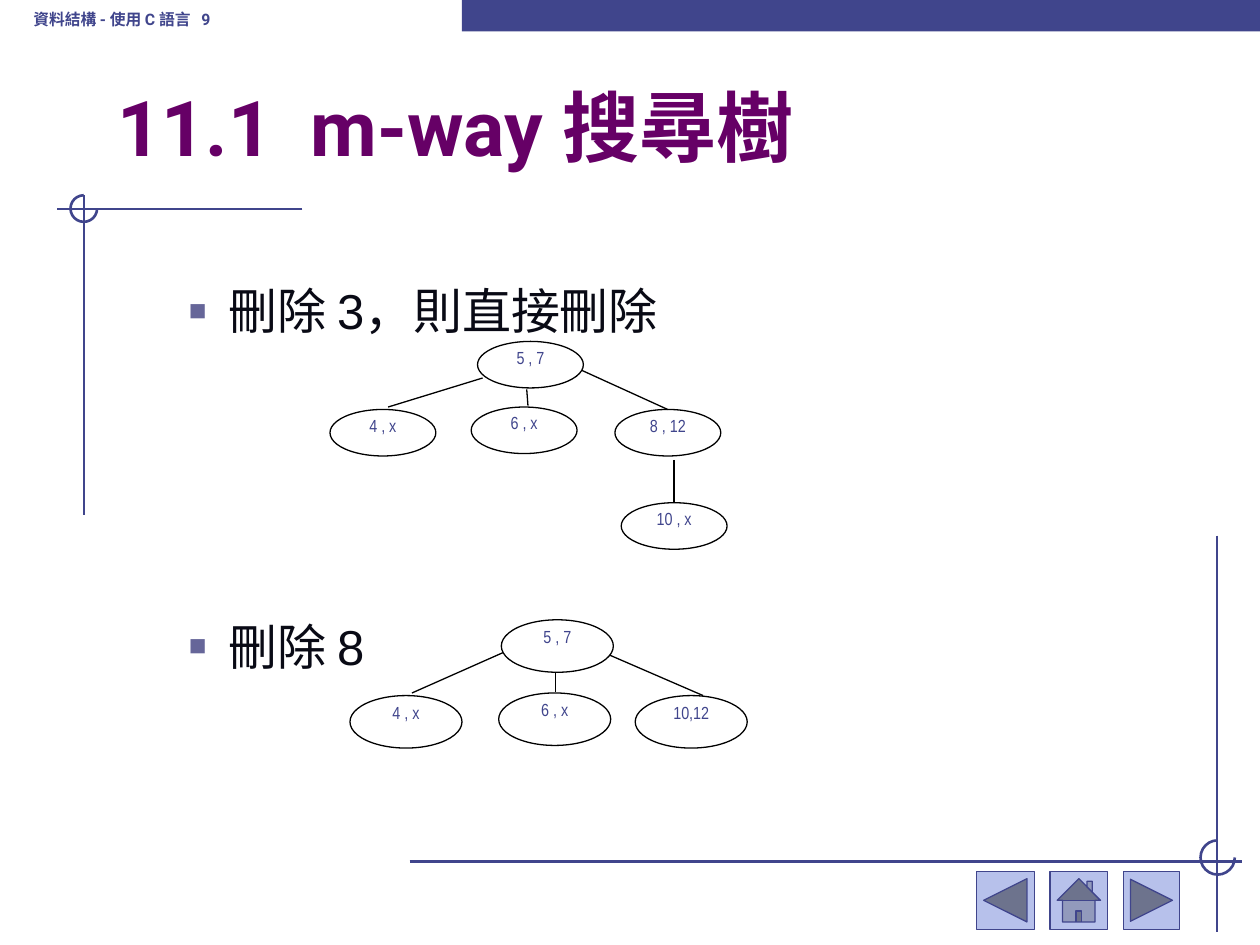
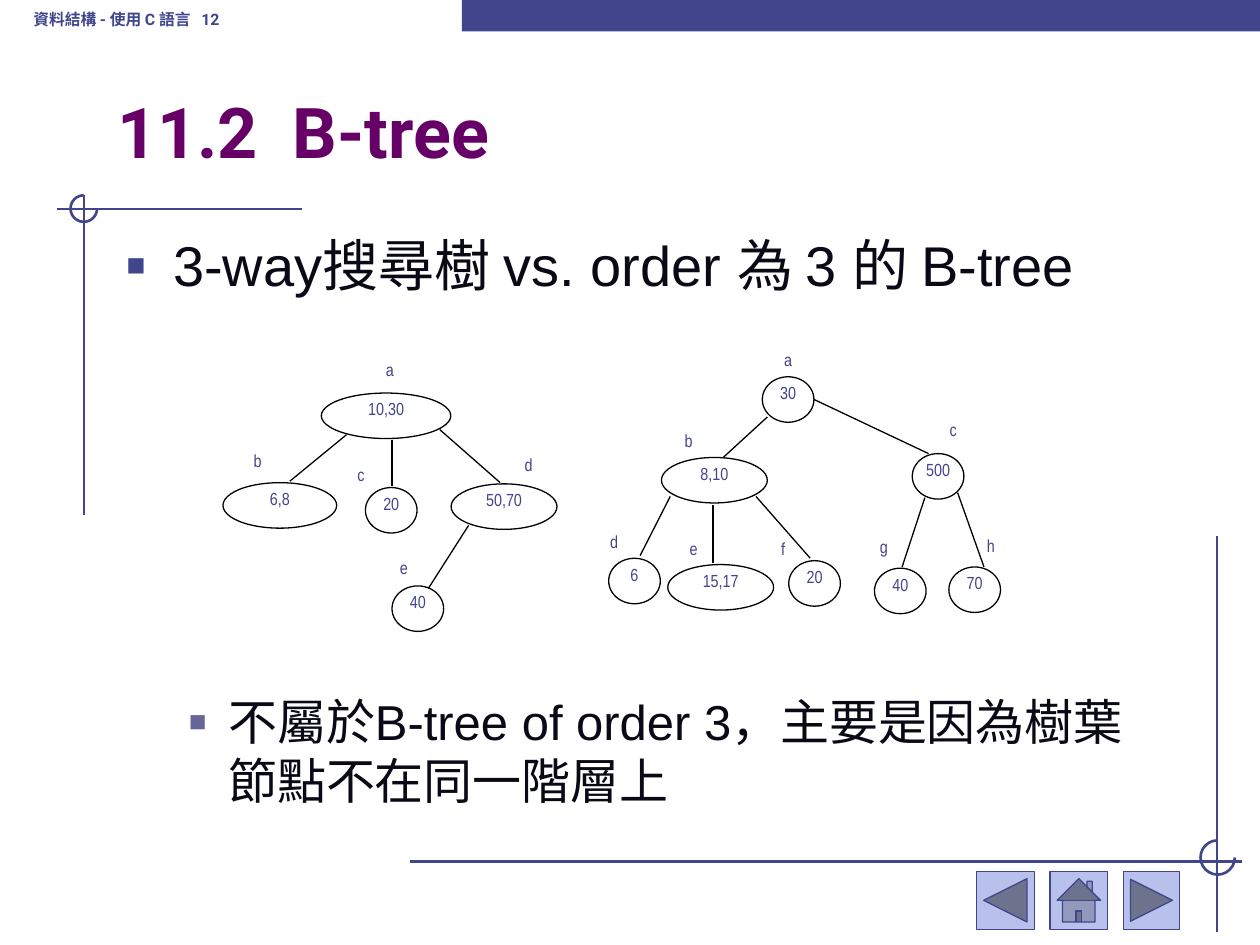
from lxml import etree
from pptx import Presentation
from pptx.dml.color import RGBColor
from pptx.enum import shapes, text
from pptx.oxml import ns
from pptx.util import Pt

HUES = {"navy": "40458C", "plum": "660066", "ink": "090A15", "pale": "B7C1EB",
        "gray": "666699", "black": "000000"}
FORM = shapes.MSO_SHAPE
SIDE = text.MSO_ANCHOR
HEAD = {"size": 32, "indent": 27, "hang": 27, "mark": "▪", "hue": "navy", "scale": 110}
ITEM = {"size": 28, "indent": 58.5, "hang": 22.5, "mark": "■", "hue": "gray", "scale": 60}


class Deck:
    def __init__(self):
        self.file = Presentation()
        self.file.slide_width, self.file.slide_height = Pt(720), Pt(540)
        self.page = None

    def color(self, name):
        return RGBColor.from_string(HUES[name])

    def slide(self, number, title, size):
        self.page = self.file.slides.add_slide(self.file.slide_layouts[6]).shapes
        self.line(172.8, 119.5, 32.4, 119.5, "navy", 1.5)
        self.line(48, 111.6, 48, 294.5, "navy", 1.5)
        self.arc(40.3, 111.6, 15.2)
        self.shape(FORM.RECTANGLE, 264, 0, 456, 18, "navy")
        for form, left, wide in ((FORM.ACTION_BUTTON_HOME, 600, 33),
                                 (FORM.ACTION_BUTTON_FORWARD_OR_NEXT, 642, 32),
                                 (FORM.ACTION_BUTTON_BACK_OR_PREVIOUS, 558, 33)):
            self.shape(form, left, 498, wide, 33, "pale", "navy")
        self.line(234, 492.2, 709.9, 492.2, "navy", 1.5)
        self.line(695.5, 306, 695.5, 532.8, "navy", 1.5)
        self.arc(686, 480.2, 19.6)
        frame = self.box(12, -12, 222, 36, SIDE.BOTTOM)
        frame.margin_bottom = Pt(7.5)
        self.run(frame.paragraphs[0], f"資料結構 - 使用 C 語言   {number}", 9, "Roboto", "navy", True)
        frame = self.box(60, 42, 612, 60, SIDE.BOTTOM)
        self.run(frame.paragraphs[0], title, size, "Roboto", "plum", True)

    def shape(self, form, left, top, wide, high, fill=None, edge=None, weight=0.75):
        item = self.page.add_shape(form, Pt(left), Pt(top), Pt(wide), Pt(high))
        item.shadow.inherit = False
        if fill:
            item.fill.solid()
            item.fill.fore_color.rgb = self.color(fill)
        else:
            item.fill.background()
        if edge:
            item.line.color.rgb = self.color(edge)
            item.line.width = Pt(weight)
        else:
            item.line.fill.background()
        return item

    def arc(self, left, top, size):
        item = self.shape(FORM.ARC, left, top, size, size, None, "navy", 1.5)
        item.adjustments[0] = 0
        item.adjustments[1] = 162

    def line(self, left, top, right, low, hue="black", weight=0.75):
        item = self.page.add_connector(shapes.MSO_CONNECTOR.STRAIGHT,
                                       Pt(left), Pt(top), Pt(right), Pt(low))
        item.line.color.rgb = self.color(hue)
        item.line.width = Pt(weight)
        etree.SubElement(item._element.spPr, ns.qn("a:effectLst"))

    def box(self, left, top, wide, high, anchor=SIDE.TOP):
        frame = self.page.add_textbox(Pt(left), Pt(top), Pt(wide), Pt(high)).text_frame
        frame.word_wrap = True
        frame.vertical_anchor = anchor
        return frame

    def run(self, para, words, size, font, hue, bold=False):
        run = para.add_run()
        run.text = words
        run.font.size, run.font.name, run.font.bold = Pt(size), font, bold
        run.font.color.rgb = self.color(hue)

    def body(self, top, gap, *items):
        frame = self.box(64.8, top, 605.5, 293)
        for rank, (style, words) in enumerate(items):
            para = frame.add_paragraph() if rank else frame.paragraphs[0]
            if rank:
                para.space_before = Pt(gap)
            self.bullet(para, style)
            self.run(para, words, style["size"], "Arial", "ink")

    def bullet(self, para, style):
        props = para._p.get_or_add_pPr()
        props.set("marL", str(Pt(style["indent"])))
        props.set("indent", str(-Pt(style["hang"])))
        hue = etree.SubElement(props, ns.qn("a:buClr"))
        etree.SubElement(hue, ns.qn("a:srgbClr"), val=HUES[style["hue"]])
        etree.SubElement(props, ns.qn("a:buSzPct"), val=str(style["scale"] * 1000))
        etree.SubElement(props, ns.qn("a:buFont"), typeface="Arial")
        etree.SubElement(props, ns.qn("a:buChar"), char=style["mark"])

    def node(self, words, left, top, wide, high, edge="black"):
        frame = self.shape(FORM.OVAL, left, top, wide, high, None, edge).text_frame
        frame.margin_left = frame.margin_right = frame.margin_top = frame.margin_bottom = 0
        frame.vertical_anchor = SIDE.TOP
        frame.word_wrap = True
        para = frame.paragraphs[0]
        para.alignment = text.PP_ALIGN.CENTER
        para.line_spacing = 0.96
        self.run(para, words, 10, "Arial Narrow", "navy")

    def tree(self, wide, high, nodes, lines, tags=()):
        for words, left, top, *own in nodes:
            self.node(words, left, top, own[0] if own else wide, high)
        for ends in lines:
            self.line(*ends)
        for words, left, top in tags:
            self.node(words, left, top, wide, high, None)


def main():
    deck = Deck()
    deck.slide(9, "11.1  m-way 搜尋樹", 44)
    deck.body(157, 158, (ITEM, "刪除 3，則直接刪除"), (ITEM, "刪除 8"))
    deck.tree(
        60.5, 26.6,
        [("8 , 12", 351.4, 234), ("5 , 7", 272.9, 195.1), ("6 , x", 269.3, 232.6),
         ("4 , x", 188.6, 234), ("10 , x", 355, 287.3)],
        [(301.7, 231.8, 301, 222.5), (221.8, 232.6, 275.8, 216),
         (332.6, 211.7, 381.6, 234), (385.2, 262.8, 385.2, 287.3)])
    deck.tree(
        64, 30,
        [("10,12", 363, 397.5), ("5 , 7", 286.5, 354.2), ("6 , x", 285, 396),
         ("4 , x", 200, 397.5)],
        [(317.5, 395.3, 317.5, 384.5), (235.4, 396, 287.3, 373),
         (348.5, 374.4, 401.8, 397.5)])

    deck.slide(12, "11.2  B-tree", 40)
    deck.body(128.2, 225, (HEAD, "3-way搜尋樹 vs. order 為 3 的 B-tree"),
              (ITEM, "不屬於B-tree of order 3，主要是因為樹葉節點不在同一階層上"))
    deck.tree(
        29.5, 26,
        [("20", 208.8, 278.6), ("40", 224, 334.8), ("10,30", 183.6, 224.6, 74),
         ("6,8", 127.4, 275.8, 65), ("50,70", 257.8, 276.5, 60.5)],
        [(165.6, 275, 198, 248.4), (251.3, 245.5, 285.8, 275.8),
         (224, 251.3, 224, 278), (267.8, 300.2, 244.8, 336.2)],
        [("a", 208, 202.3), ("b", 132.5, 254.2), ("c", 191.5, 262),
         ("d", 287.3, 256.3), ("e", 216, 315.4)])
    deck.tree(
        29.5, 26,
        [("30", 435.6, 215.3), ("500", 521.3, 259.2), ("70", 542.2, 324),
         ("40", 499.7, 324.7), ("8,10", 378, 261.4, 60.5), ("15,17", 381.6, 322.6, 60.5),
         ("20", 450.7, 320.4), ("6", 347.8, 319)],
        [(413.3, 261.4, 438.5, 238.3), (465, 228.2, 530.6, 259.2),
         (547.2, 281.5, 562.3, 324), (528.5, 284.4, 515.5, 324),
         (432, 283.7, 463, 319), (383, 283.7, 365.8, 317.5),
         (407.5, 288.7, 407.5, 321.8)],
        [("a", 435.6, 196.6), ("b", 378.7, 242.6), ("c", 530, 236.5), ("d", 336.2, 300.2),
         ("e", 381.6, 304.6), ("f", 432.7, 304.6), ("g", 490.3, 303), ("h", 551.5, 302.4)])
    deck.file.save("out.pptx")


if __name__ == "__main__":
    main()
